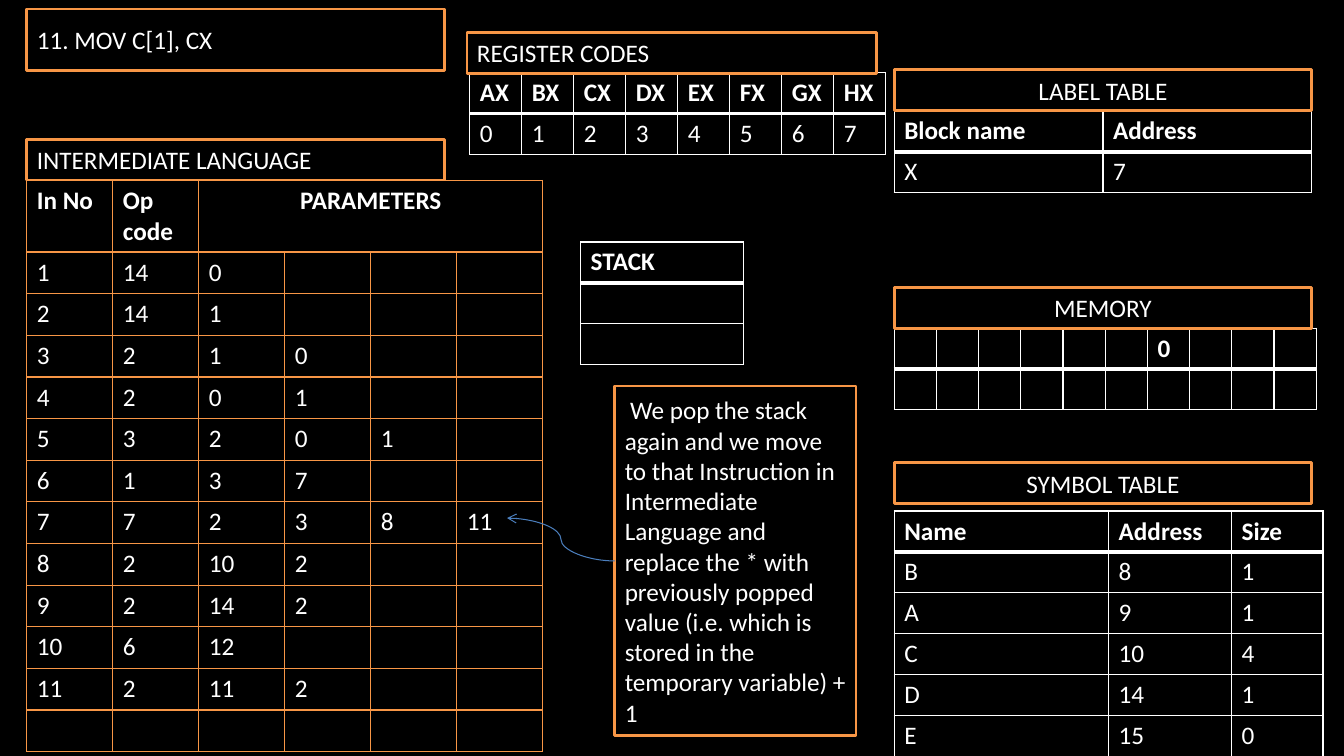
from dataclasses import dataclass

from lxml.etree import SubElement
from pptx import Presentation
from pptx.dml.color import RGBColor
from pptx.enum.shapes import MSO_CONNECTOR, MSO_SHAPE
from pptx.enum.text import MSO_ANCHOR, PP_ALIGN
from pptx.oxml.ns import qn
from pptx.slide import Slide
from pptx.table import _Cell
from pptx.text.text import _Paragraph
from pptx.util import Inches, Length, Pt


@dataclass(frozen=True)
class Theme:
    black: str = "000000"
    white: str = "FFFFFF"
    orange: str = "F79646"
    blue: str = "4B7EBC"
    font: str = "Calibri"
    size: float = 18
    thin: float = 1
    frame: float = 2
    thick: float = 3
    link: float = 0.75


@dataclass(frozen=True)
class Box:
    text: str
    left: float
    top: float
    width: float
    height: float
    align: PP_ALIGN = PP_ALIGN.LEFT
    indent: float = 0


@dataclass(frozen=True)
class Grid:
    left: float
    top: float
    cols: list[float]
    rows: list[float]
    cells: list[list[str]]
    line: str
    rule: float
    merge: int | None = None


THEME = Theme()
WIDE, HIGH = Inches(13.33), Inches(7.5)
EDGE, SIDE, PANEL = 2, 66.54, 31.06
ROW = 5.41
MID = PP_ALIGN.CENTER

CODE = [
    ["In No", "Op code", "PARAMETERS"],
    ["1", "14", "0"],
    ["2", "14", "1"],
    ["3", "2", "1", "0"],
    ["4", "2", "0", "1"],
    ["5", "3", "2", "0", "1"],
    ["6", "1", "3", "7"],
    ["7", "7", "2", "3", "8", "11"],
    ["8", "2", "10", "2"],
    ["9", "2", "14", "2"],
    ["10", "6", "12"],
    ["11", "2", "11", "2"],
    [],
]
SYMBOLS = [
    ["Name", "Address", "Size"],
    ["B", "8", "1"],
    ["A", "9", "1"],
    ["C", "10", "4"],
    ["D", "14", "1"],
    ["E", "15", "0"],
]
CODES = [[f"{name}X" for name in "ABCDEFGH"], [str(n) for n in range(8)]]

GRIDS = [
    Grid(SIDE, 43.4, [3.14] * 10, [ROW] * 2, [[""] * 6 + ["0"], []],
         THEME.white, THEME.thick),
    Grid(SIDE, 67.6, [15.95, 9.15, 6.8], [5.33] * 6, SYMBOLS,
         THEME.white, THEME.thick),
    Grid(EDGE, 23.87, [6.4] * 6, [9.4] + [5.51] * 12, CODE,
         THEME.orange, THEME.frame, merge=2),
    Grid(SIDE, 14.67, [PANEL / 2] * 2, [ROW] * 2,
         [["Block name", "Address"], ["X", "7"]], THEME.white, THEME.thick),
    Grid(34.95, 9.6, [3.87] * 8, [ROW] * 2, CODES, THEME.white, THEME.thick),
    Grid(43.2, 32, [12.1], [ROW] * 3, [["STACK"], [], []],
         THEME.white, THEME.thick),
]
NOTE = Box(
    "We pop the stack again and we move to that Instruction in Intermediate "
    "Language and replace the * with previously popped value (i.e. which is "
    "stored in the temporary variable) + 1",
    45.75, 51.07, 17.95, 46.27, indent=0.4)
BOXES = [
    Box("MEMORY", SIDE, 38, PANEL, ROW, MID),
    Box("SYMBOL TABLE", SIDE, 61.2, PANEL, ROW, MID),
    Box("LABEL TABLE", SIDE, 9.2, PANEL, ROW, MID),
    Box("INTERMEDIATE LANGUAGE", EDGE, 18.4, PANEL, ROW),
    Box("REGISTER CODES", 34.75, 4.27, 30.45, ROW),
    Box("11. MOV C[1], CX", EDGE, 1.2, PANEL, 8.13),
    NOTE,
]


def across(share: float) -> Length:
    return Length(round(WIDE * share / 100))


def down(share: float) -> Length:
    return Length(round(HIGH * share / 100))


def paint(code: str) -> RGBColor:
    return RGBColor.from_string(code)


def write(para: _Paragraph, text: str, bold: bool = False) -> None:
    run = para.add_run()
    run.text = text
    font = run.font
    font.name, font.size, font.bold = THEME.font, Pt(THEME.size), bold
    font.color.rgb = paint(THEME.white)


def edge(cell: _Cell, side: str, color: str, width: float) -> None:
    props = cell._tc.get_or_add_tcPr()
    line = SubElement(props, qn(f"a:{side}"), w=str(Pt(width)))
    fill = SubElement(line, qn("a:solidFill"))
    SubElement(fill, qn("a:srgbClr"), val=color)


def draw_grid(slide: Slide, grid: Grid) -> None:
    table = slide.shapes.add_table(
        len(grid.rows), len(grid.cols), across(grid.left), down(grid.top),
        across(sum(grid.cols)), down(sum(grid.rows))).table
    for col, width in zip(table.columns, grid.cols):
        col.width = across(width)
    for row, height in zip(table.rows, grid.rows):
        row.height = down(height)
    for r, words in enumerate(grid.cells):
        for c in range(len(grid.cols)):
            cell = table.cell(r, c)
            top = grid.rule if r == 1 else THEME.thin
            base = grid.rule if r == 0 else THEME.thin
            for side, width in (("lnL", THEME.thin), ("lnR", THEME.thin),
                                ("lnT", top), ("lnB", base)):
                edge(cell, side, grid.line, width)
            cell.fill.solid()
            cell.fill.fore_color.rgb = paint(THEME.black)
            if c < len(words) and words[c]:
                write(cell.text_frame.paragraphs[0], words[c], r == 0)
    if grid.merge is not None:
        head = table.cell(0, grid.merge)
        head.merge(table.cell(0, len(grid.cols) - 1))
        head.text_frame.paragraphs[0].alignment = MID


def draw_box(slide: Slide, box: Box) -> None:
    shape = slide.shapes.add_shape(
        MSO_SHAPE.RECTANGLE, across(box.left), down(box.top),
        across(box.width), down(box.height))
    shape.shadow.inherit = False
    shape.fill.solid()
    shape.fill.fore_color.rgb = paint(THEME.black)
    shape.line.color.rgb = paint(THEME.orange)
    shape.line.width = Pt(THEME.frame)
    frame = shape.text_frame
    frame.word_wrap = True
    frame.vertical_anchor = MSO_ANCHOR.MIDDLE
    para = frame.paragraphs[0]
    para.alignment = box.align
    if box.indent:
        para._p.get_or_add_pPr().set("indent", str(across(box.indent)))
    write(para, box.text)


def draw_link(slide: Slide) -> None:
    link = slide.shapes.add_connector(
        MSO_CONNECTOR.CURVE, across(NOTE.left),
        down(NOTE.top + NOTE.height / 2), across(37.73), down(68.53))
    link.line.color.rgb = paint(THEME.blue)
    link.line.width = Pt(THEME.link)
    props = link.element.spPr
    SubElement(props.get_or_add_ln(), qn("a:tailEnd"), type="arrow")
    SubElement(props, qn("a:effectLst"))


def main() -> None:
    deck = Presentation()
    deck.slide_width, deck.slide_height = WIDE, HIGH
    slide = deck.slides.add_slide(deck.slide_layouts[6])
    back = slide.background.fill
    back.solid()
    back.fore_color.rgb = paint(THEME.black)
    for grid in GRIDS:
        draw_grid(slide, grid)
    for box in BOXES:
        draw_box(slide, box)
    draw_link(slide)
    deck.save("out.pptx")


if __name__ == "__main__":
    main()
